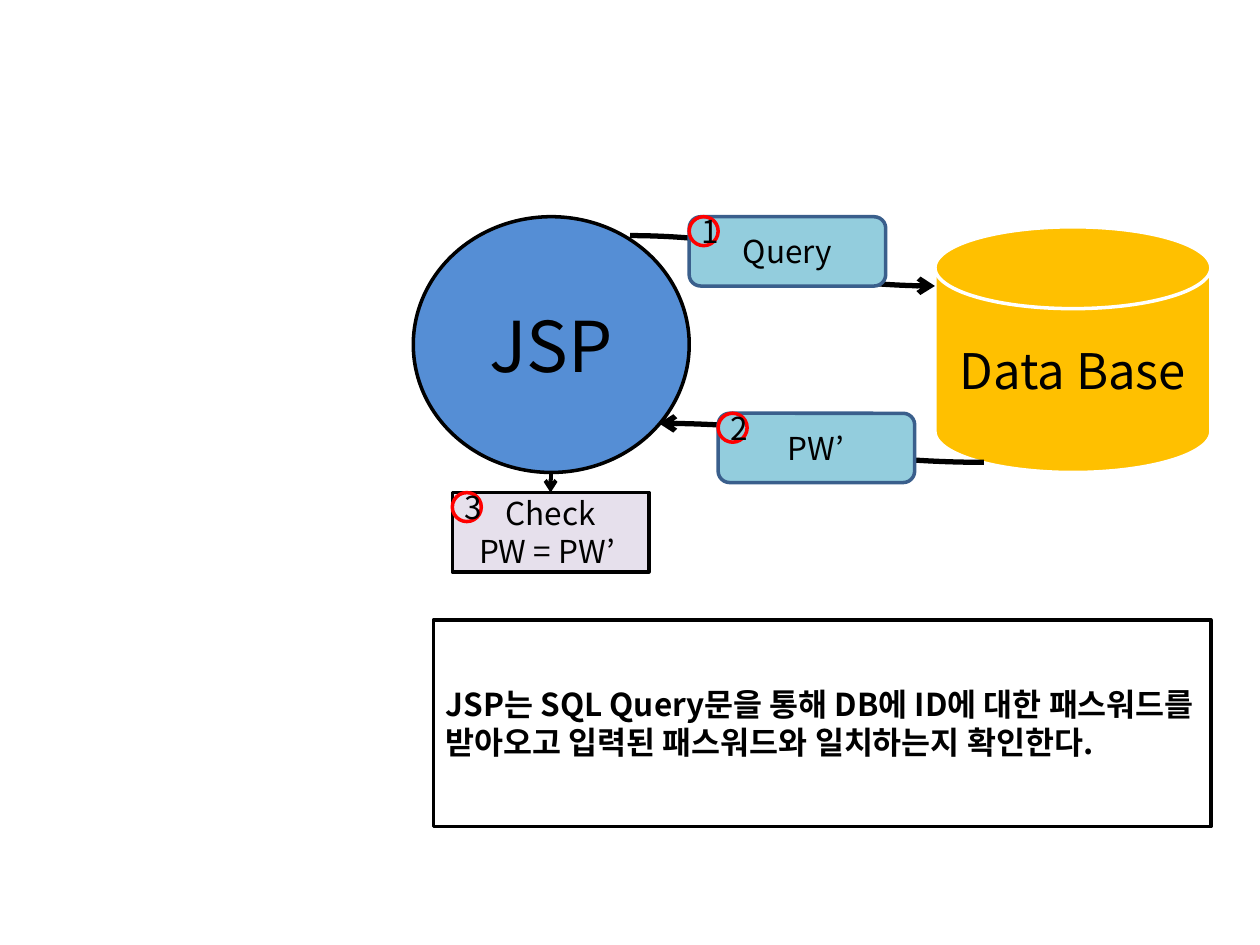
from lxml.etree import SubElement
from pptx import Presentation
from pptx.dml.color import RGBColor
from pptx.enum.shapes import MSO_CONNECTOR, MSO_SHAPE
from pptx.enum.text import MSO_ANCHOR, PP_ALIGN
from pptx.oxml.ns import qn
from pptx.util import Inches, Pt

FONT = "Noto Sans CJK KR"

prs = Presentation()
prs.slide_width, prs.slide_height = Inches(10), Inches(7.5)
s = prs.slides.add_slide(prs.slide_layouts[6])


def add_node(kind, box, text, fill=None, line="000000", size=18, bold=False,
             align=PP_ALIGN.CENTER):
    sp = s.shapes.add_shape(kind, *[Inches(v) for v in box])
    sp.shadow.inherit = False
    if fill:
        sp.fill.solid()
        sp.fill.fore_color.rgb = RGBColor.from_string(fill)
    else:
        sp.fill.background()
    sp.line.color.rgb = RGBColor.from_string(line)
    sp.line.width = Pt(2)
    tf = sp.text_frame
    tf.text = text
    tf.word_wrap = True
    tf.vertical_anchor = MSO_ANCHOR.MIDDLE
    for p in tf.paragraphs:
        p.alignment = align
        for r in p.runs:
            r.font.name = FONT
            r.font.size = Pt(size)
            r.font.bold = bold
            r.font.color.rgb = RGBColor.from_string("000000")
            SubElement(r.font._element, qn("a:ea"), typeface=FONT)
    return sp


def add_arrow(kind, start, end, width):
    cx = s.shapes.add_connector(kind, *[Inches(v) for v in (*start, *end)])
    cx.line.color.rgb = RGBColor.from_string("000000")
    cx.line.width = Pt(width)
    SubElement(cx.line._get_or_add_ln(), qn("a:tailEnd"), type="arrow")
    SubElement(cx._element.spPr, qn("a:effectLst"))
    return cx


add_node(MSO_SHAPE.OVAL, (3.28, 1.72, 2.19, 2.03), "JSP", "558ED5", size=40)
add_node(MSO_SHAPE.RECTANGLE, (3.44, 4.92, 6.17, 1.64),
         "JSP는 SQL Query문을 통해 DB에 ID에 대한 패스워드를 받아오고 "
         "입력된 패스워드와 일치하는지 확인한다.",
         bold=True, align=PP_ALIGN.LEFT)
add_node(MSO_SHAPE.FLOWCHART_MAGNETIC_DISK, (7.42, 1.8, 2.19, 1.95),
         "Data Base", "FFC000", "FFFFFF", size=28)

# Messages between JSP and the database: arrow start, arrow end, label corner
messages = [
    ("Query", (5, 1.87), (7.42, 2.27), (5.47, 1.72)),
    ("PW’", (7.81, 3.67), (5.23, 3.36), (5.7, 3.28)),
]
for text, start, end, corner in messages:
    add_arrow(MSO_CONNECTOR.CURVE, start, end, 3)
    add_node(MSO_SHAPE.ROUNDED_RECTANGLE, (*corner, 1.56, 0.55),
             text, "93CDDD", "3A5F8C")

check_corner = (3.59, 3.91)
check = add_node(MSO_SHAPE.FLOWCHART_PROCESS, (*check_corner, 1.56, 0.63),
                 "Check\nPW = PW’ ", "E6E0EC")
arrow = add_arrow(MSO_CONNECTOR.STRAIGHT, (4.37, 3.75), (4.37, 3.91), 2.25)
arrow.end_connect(check, 0)

# Step numbers sit in the top left corner of each step
corners = [m[3] for m in messages] + [check_corner]
for number, corner in enumerate(corners, 1):
    add_node(MSO_SHAPE.OVAL, (*corner, 0.23, 0.23), str(number), line="FF0000")

prs.save("out.pptx")
